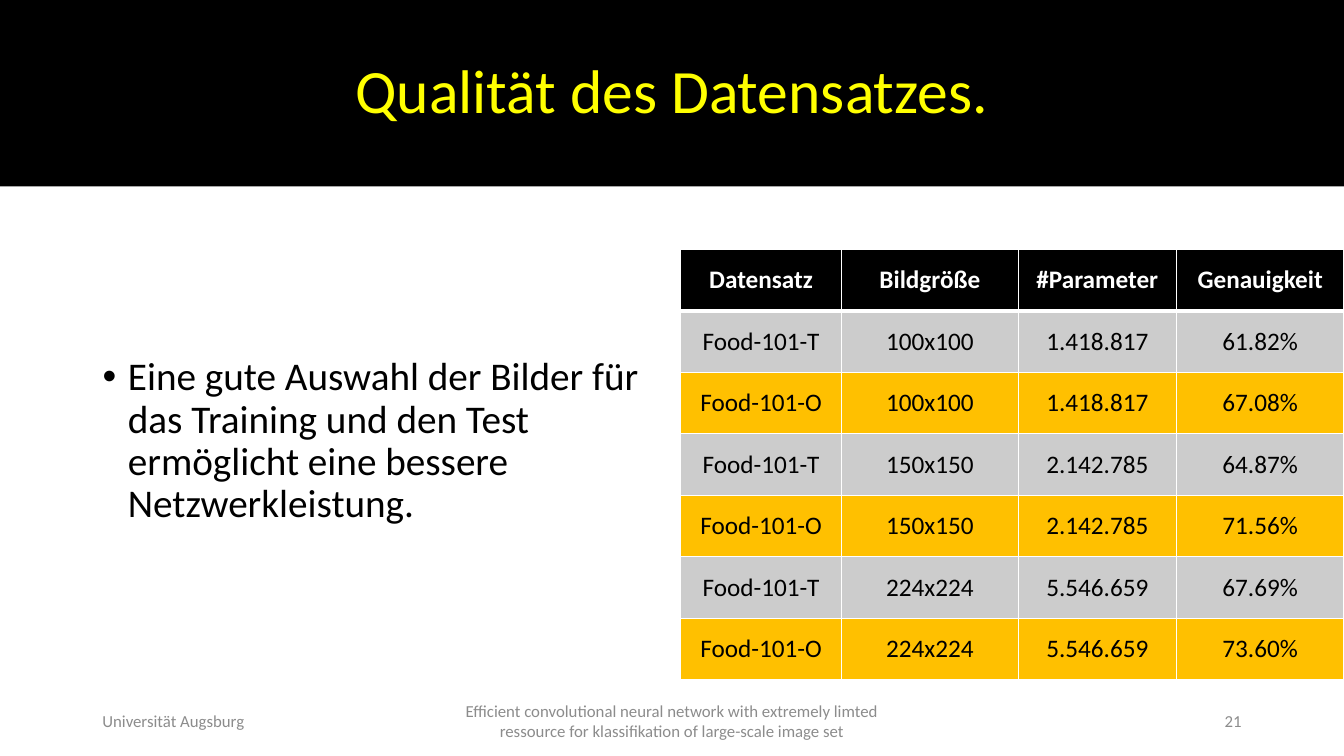
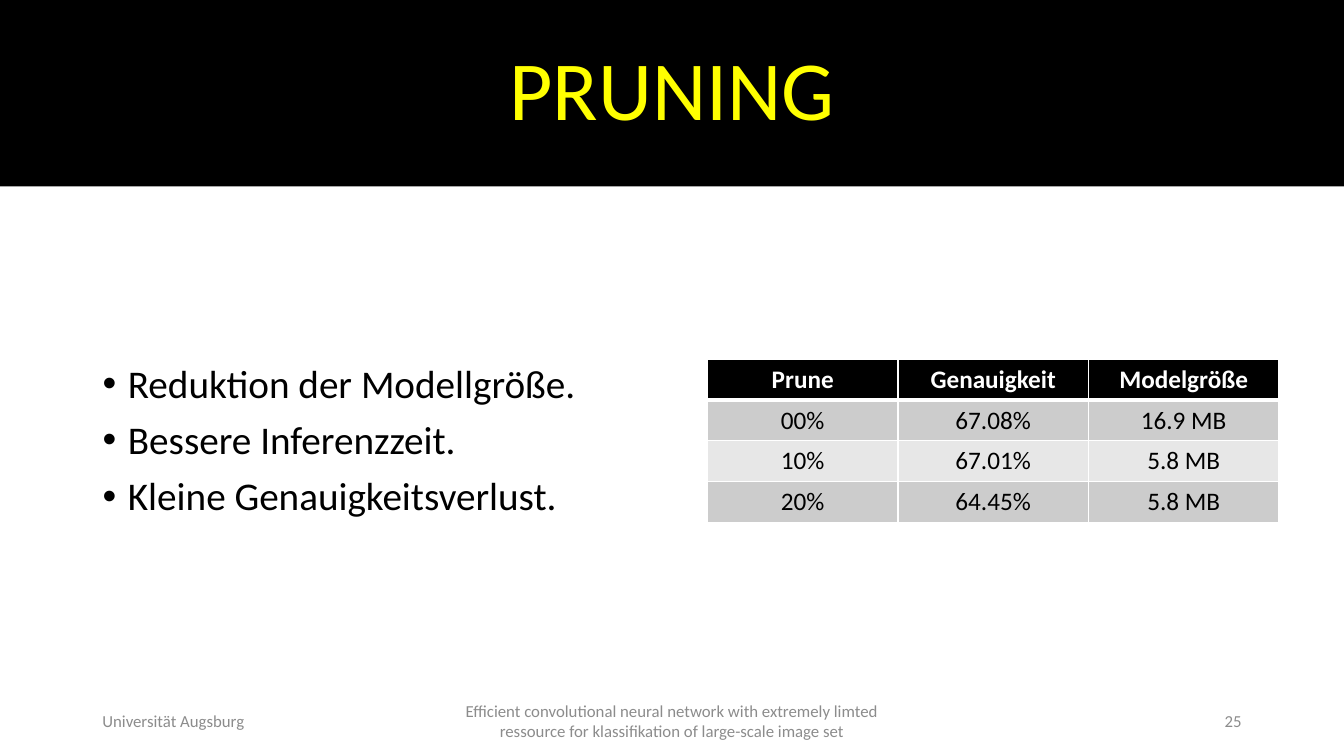
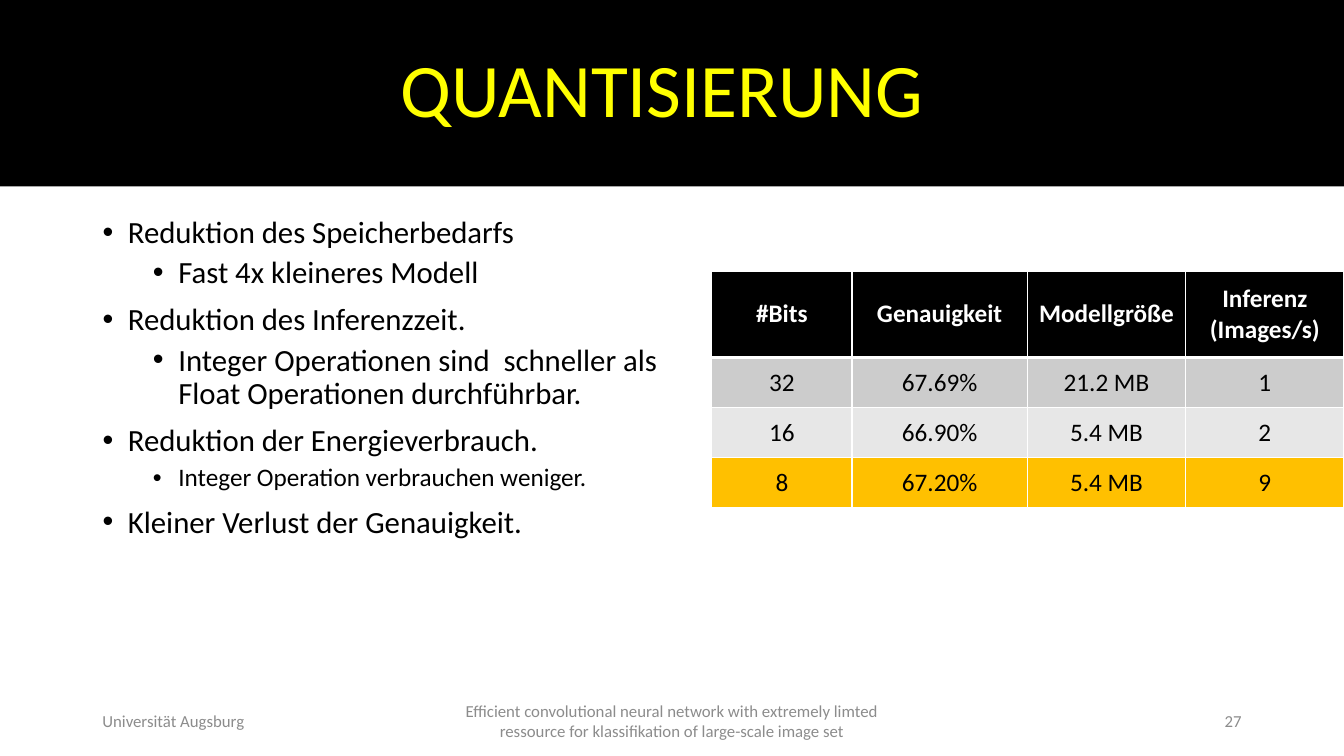
from dataclasses import dataclass

from lxml.etree import SubElement
from pptx import Presentation
from pptx.dml.color import RGBColor as Rgb
from pptx.enum.text import MSO_ANCHOR as Anchor, MSO_AUTO_SIZE as AutoSize, PP_ALIGN as Align
from pptx.oxml.ns import qn
from pptx.util import Cm, Pt


@dataclass(frozen=True)
class Theme:
    font: str = "Calibri"
    band: str = "000000"
    title: str = "FFFF00"
    text: str = "000000"
    paper: str = "FFFFFF"
    footer: str = "8C8C8C"
    row_dark: str = "CCCCCC"
    row_light: str = "E7E7E7"
    highlight: str = "FFC000"
    table_size: int = 18
    footer_size: int = 12


THEME = Theme()
SLIDE_W, SLIDE_H = 33.87, 19.05
BAND_H = 4.7
MARGIN = 2.33
BODY_TOP, BODY_H = 5.08, 12.1
FOOTER_TOP, FOOTER_H = 17.66, 1.01
FOOTER_SIDE_W, FOOTER_MID_W = 7.62, 11.43
INSET = 0.25

SCHOOL = "Universität Augsburg"
TALK = ("Efficient convolutional neural network with extremely limted "
        "ressource for klassifikation of large-scale image set")

SLIDES = [
    dict(
        number="21", title="Qualität des Datensatzes.", title_size=44,
        body_width=14.4,
        bullets=[(0, 28, "Eine gute Auswahl der Bilder für das Training und den Test "
                         "ermöglicht eine bessere Netzwerkleistung.")],
        columns=[4.06, 4.45, 3.99, 4.22], table_top=6.28,
        header_height=1.55, row_height=1.55, highlights={2, 4, 6},
        table=[
            ("Datensatz", "Bildgröße", "#Parameter", "Genauigkeit"),
            ("Food-101-T", "100x100", "1.418.817", "61.82%"),
            ("Food-101-O", "100x100", "1.418.817", "67.08%"),
            ("Food-101-T", "150x150", "2.142.785", "64.87%"),
            ("Food-101-O", "150x150", "2.142.785", "71.56%"),
            ("Food-101-T", "224x224", "5.546.659", "67.69%"),
            ("Food-101-O", "224x224", "5.546.659", "73.60%"),
        ],
    ),
    dict(
        number="25", title="PRUNING", title_size=60,
        body_width=14.4,
        bullets=[
            (0, 28, "Reduktion der Modellgröße."),
            (0, 28, "Bessere Inferenzzeit."),
            (0, 28, "Kleine Genauigkeitsverlust."),
        ],
        columns=[4.8] * 3, table_right=1.64, table_top=9.05,
        header_height=1.03, row_height=1.03,
        table=[
            ("Prune", "Genauigkeit", "Modelgröße"),
            ("00%", "67.08%", "16.9 MB"),
            ("10%", "67.01%", "5.8 MB"),
            ("20%", "64.45%", "5.8 MB"),
        ],
    ),
    dict(
        number="27", title="QUANTISIERUNG", title_size=54, title_inset=0.74,
        body_width=15.32, body_anchor=Anchor.TOP, body_inset=0.38,
        bullets=[
            (0, 22, "Reduktion des Speicherbedarfs"),
            (1, 22, "Fast 4x kleineres Modell"),
            (0, 22, "Reduktion des Inferenzzeit."),
            (1, 22, "Integer Operationen sind  schneller als Float Operationen durchführbar."),
            (0, 22, "Reduktion der Energieverbrauch."),
            (1, 18, "Integer Operation verbrauchen weniger."),
            (0, 22, "Kleiner Verlust der Genauigkeit."),
        ],
        columns=[3.53, 4.42, 3.99, 3.99], table_top=6.83,
        header_height=2.18, row_height=1.26, highlights={3},
        table=[
            ("#Bits", "Genauigkeit", "Modellgröße", "Inferenz\n(Images/s)"),
            ("32", "67.69%", "21.2 MB", "1"),
            ("16", "66.90%", "5.4 MB", "2"),
            ("8", "67.20%", "5.4 MB", "9"),
        ],
    ),
]


def place(part, left, top, width, height):
    part.left, part.top, part.width, part.height = map(Cm, (left, top, width, height))


def paint(part, color):
    part.fill.solid()
    part.fill.fore_color.rgb = Rgb.from_string(color)


def prepare(frame, anchor=Anchor.MIDDLE):
    frame.word_wrap = True
    frame.auto_size = AutoSize.NONE
    frame.vertical_anchor = anchor


def write(paragraph, words, size, color, align=Align.LEFT, bold=False):
    paragraph.alignment = align
    run = paragraph.add_run()
    run.text = words
    run.font.name = THEME.font
    run.font.size = Pt(size)
    run.font.bold = bold
    run.font.color.rgb = Rgb.from_string(color)


def paragraphs(frame, count):
    return [frame.paragraphs[0]] + [frame.add_paragraph() for _ in range(count - 1)]


def set_title(title, words, size, right_inset):
    place(title, 0, 0, SLIDE_W, BAND_H)
    paint(title, THEME.band)
    prepare(title.text_frame)
    title.text_frame.margin_right = Cm(right_inset)
    heading = title.text_frame.paragraphs[0]
    heading.line_spacing = 0.9
    write(heading, words, size, THEME.title, Align.CENTER)


def set_bullets(body, bullets, width, anchor, top_inset):
    place(body, MARGIN, BODY_TOP, width, BODY_H)
    frame = body.text_frame
    prepare(frame, anchor)
    frame.margin_top = Cm(top_inset)
    for item, (level, size, words) in zip(paragraphs(frame, len(bullets)), bullets):
        item.level = level
        item.line_spacing = 0.9
        item.space_before = Pt(5 if level else 10)
        write(item, words, size, THEME.text)
        props = item._p.get_or_add_pPr()
        props.set("marL", str(Cm(0.64 + 1.27 * level)))
        props.set("indent", str(-Cm(0.64)))
        SubElement(props, qn("a:buFont"), typeface="Arial")
        SubElement(props, qn("a:buChar"), char="•")


def set_borders(cell, row):
    props = cell._tc.get_or_add_tcPr()
    weights = dict(lnL=1, lnR=1, lnT=3 if row == 1 else 1, lnB=3 if row == 0 else 1)
    for side, weight in weights.items():
        line = SubElement(props, qn(f"a:{side}"), w=str(Pt(weight)))
        SubElement(SubElement(line, qn("a:solidFill")), qn("a:srgbClr"), val=THEME.paper)


def row_color(row, highlights):
    if row == 0:
        return THEME.band
    if row in highlights:
        return THEME.highlight
    return THEME.row_dark if row % 2 else THEME.row_light


def add_results(slide, content):
    records, columns = content["table"], content["columns"]
    heights = [content["header_height"]] + [content["row_height"]] * (len(records) - 1)
    left = SLIDE_W - content.get("table_right", 0) - sum(columns)
    results = slide.shapes.add_table(
        len(records), len(columns), Cm(left), Cm(content["table_top"]),
        Cm(sum(columns)), Cm(sum(heights))).table
    for column, width in zip(results.columns, columns):
        column.width = Cm(width)
    for row, (record, height) in enumerate(zip(records, heights)):
        results.rows[row].height = Cm(height)
        for col, value in enumerate(record):
            cell = results.cell(row, col)
            set_borders(cell, row)
            paint(cell, row_color(row, content.get("highlights", ())))
            cell.vertical_anchor = Anchor.MIDDLE
            lines = value.split("\n")
            for paragraph, words in zip(paragraphs(cell.text_frame, len(lines)), lines):
                write(paragraph, words, THEME.table_size,
                      THEME.text if row else THEME.paper, Align.CENTER, bold=row == 0)


def add_footer(slide, number):
    entries = [
        (SCHOOL, MARGIN, FOOTER_SIDE_W, Align.LEFT),
        (TALK, (SLIDE_W - FOOTER_MID_W) / 2, FOOTER_MID_W, Align.CENTER),
        (number, SLIDE_W - MARGIN - FOOTER_SIDE_W, FOOTER_SIDE_W, Align.RIGHT),
    ]
    for words, left, width, align in entries:
        note = slide.shapes.add_textbox(Cm(left), Cm(FOOTER_TOP), Cm(width), Cm(FOOTER_H))
        prepare(note.text_frame)
        write(note.text_frame.paragraphs[0], words, THEME.footer_size, THEME.footer, align)


def main():
    deck = Presentation()
    deck.slide_width, deck.slide_height = Cm(SLIDE_W), Cm(SLIDE_H)
    for content in SLIDES:
        slide = deck.slides.add_slide(deck.slide_layouts[1])
        set_title(slide.shapes.title, content["title"], content["title_size"],
                  content.get("title_inset", INSET))
        set_bullets(slide.placeholders[1], content["bullets"], content["body_width"],
                    content.get("body_anchor", Anchor.MIDDLE), content.get("body_inset", 0.13))
        add_results(slide, content)
        add_footer(slide, content["number"])
    deck.save("out.pptx")


if __name__ == "__main__":
    main()
